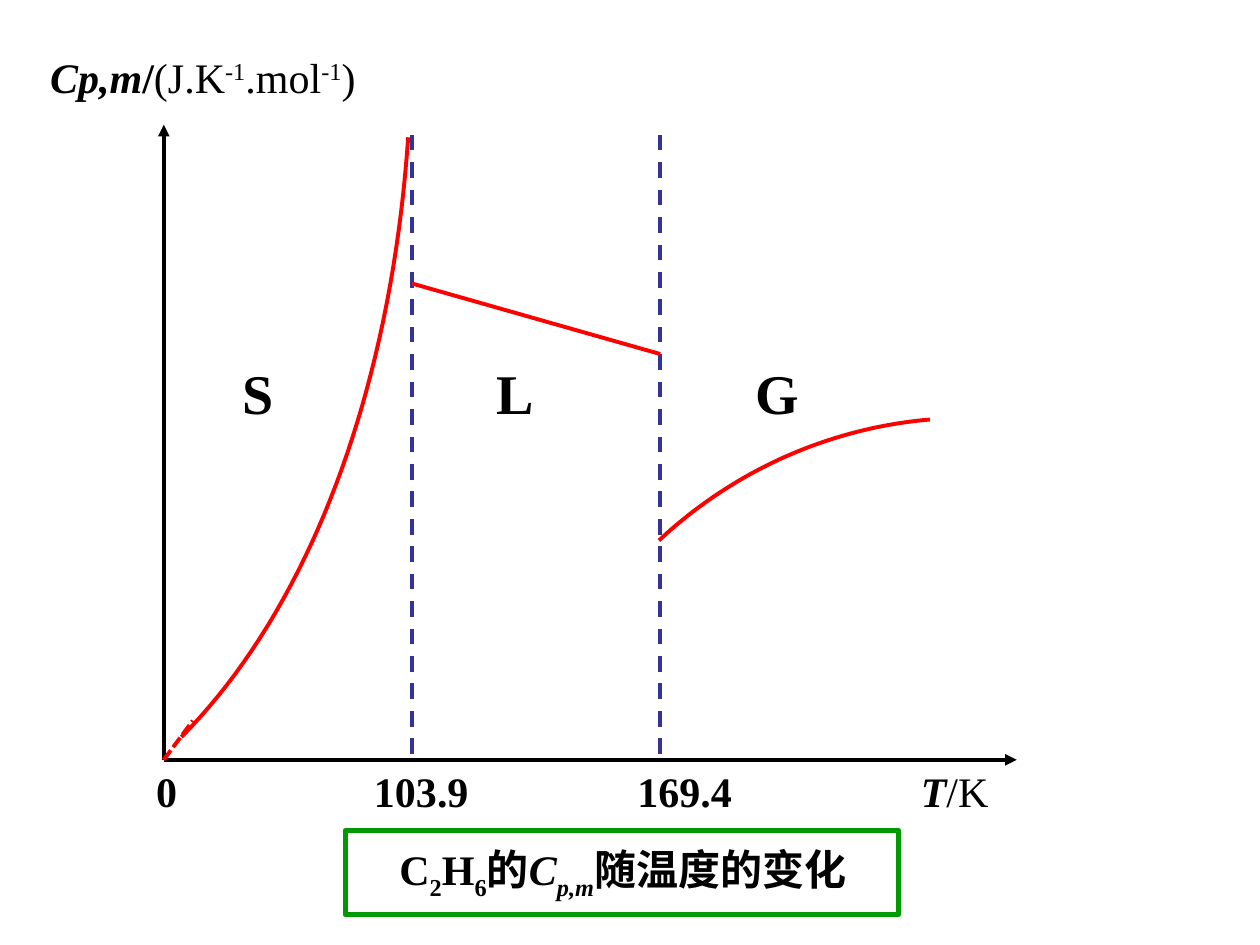
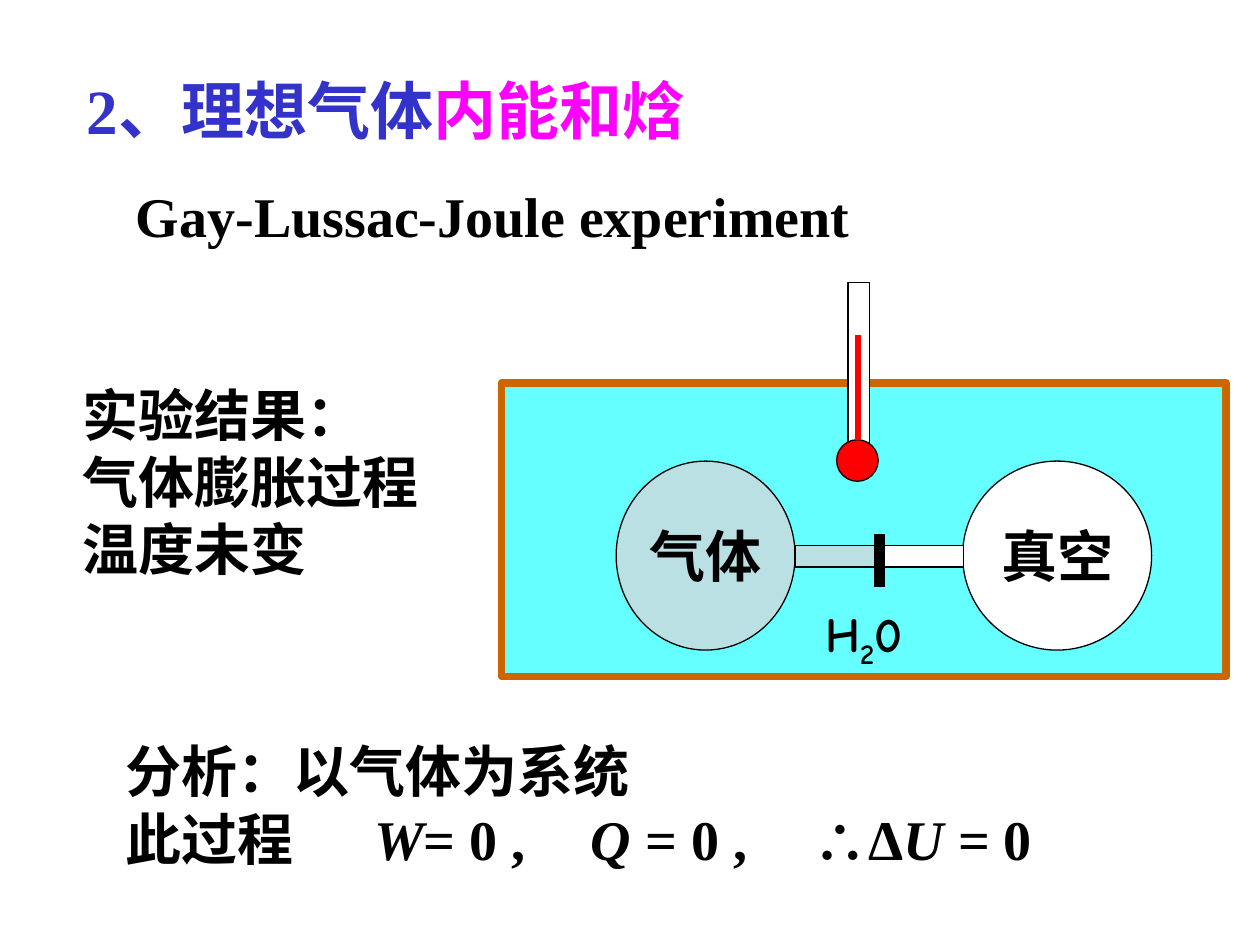
import pptx
import pptx.util
import pptx.dml.color
import pptx.enum.dml
import pptx.enum.shapes
import pptx.enum.text
import lxml.etree
from pptx.oxml.ns import qn
from pptx.util import Inches

COLORS = {
    "ink": "000000", "curve": "FF0000", "boundary": "333399", "frame": "009900",
    "heading": "3333CC", "accent": "FF00FF", "water": "66FFFF", "tank": "CC6600",
    "gas": "BBE0E3", "vacuum": "FFFFFF",
}
RGB = {name: pptx.dml.color.RGBColor.from_string(code) for name, code in COLORS.items()}
FONT = "Times New Roman"
BASELINES = {"sub": "-25000", "sup": "30000"}
ANCHOR = pptx.enum.text.MSO_ANCHOR
ALIGN = pptx.enum.text.PP_ALIGN
SHAPE = pptx.enum.shapes.MSO_SHAPE
DASH = pptx.enum.dml.MSO_LINE


def write(shape, lines, size, font=FONT, bold=True, align=ALIGN.LEFT,
          anchor=ANCHOR.TOP, tabs=()):
    """Fill a shape with lines, each a list of (text, style words) runs."""
    frame = shape.text_frame
    frame.word_wrap = True
    frame.auto_size = pptx.enum.text.MSO_AUTO_SIZE.NONE
    frame.vertical_anchor = anchor
    for index, runs in enumerate(lines):
        paragraph = frame.add_paragraph() if index else frame.paragraphs[0]
        paragraph.alignment = align
        if tabs:
            stops = lxml.etree.SubElement(paragraph._p.get_or_add_pPr(), qn("a:tabLst"))
            for position in tabs:
                lxml.etree.SubElement(stops, qn("a:tab"), pos=str(Inches(position)), algn="l")
        paragraph.font.name = font
        paragraph.font.size = pptx.util.Pt(size)
        paragraph.font.bold = bold
        paragraph.font.color.rgb = RGB["ink"]
        for text, style in runs:
            run = paragraph.add_run()
            run.text = text
            for word in style.split():
                if word == "italic":
                    run.font.italic = True
                elif word == "plain":
                    run.font.bold = False
                elif word in BASELINES:
                    run._r.get_or_add_rPr().set("baseline", BASELINES[word])
                else:
                    run.font.color.rgb = RGB[word]


def draw_line(slide, start, end, color, width=2.25, dash=None, arrow=False):
    line = slide.shapes.add_connector(
        pptx.enum.shapes.MSO_CONNECTOR.STRAIGHT,
        *[Inches(value) for value in (*start, *end)])
    line.line.color.rgb = RGB[color]
    line.line.width = pptx.util.Pt(width)
    if dash:
        line.line.dash_style = dash
    if arrow:
        lxml.etree.SubElement(line.line._get_or_add_ln(), qn("a:tailEnd"), type="triangle")
    lxml.etree.SubElement(line._element.spPr, qn("a:effectLst"))


deck = pptx.Presentation()
deck.slide_width, deck.slide_height = Inches(10), Inches(7.5)
TITLE_ONLY, BLANK = deck.slide_layouts[5], deck.slide_layouts[6]

# Slide 1: heat capacity of ethane against temperature
heat = deck.slides.add_slide(BLANK)
origin = (1.3, 6.03)
melting, boiling = 3.27, 5.24
draw_line(heat, origin, (8.07, 6.03), "ink", arrow=True)
draw_line(heat, origin, (1.3, 0.99), "ink", arrow=True)
for boundary in (melting, boiling):
    draw_line(heat, (boundary, 1.07), (boundary, 6.03), "boundary", dash=DASH.DASH)
draw_line(heat, (melting, 2.25), (boiling, 2.81), "curve")
draw_line(heat, origin, (1.53, 5.72), "curve", dash=DASH.SQUARE_DOT)

solid_curve = ((3.24, 1.09), (3.1, 3.12), (2.45, 4.83), (1.44, 5.85))
gas_curve = ((5.23, 4.29), (5.82, 3.74), (6.57, 3.4), (7.38, 3.33))
STEPS = 40
for controls in (solid_curve, gas_curve):
    points = []
    for step in range(STEPS + 1):
        t = step / STEPS
        weights = ((1 - t) ** 3, 3 * t * (1 - t) ** 2, 3 * t ** 2 * (1 - t), t ** 3)
        points.append([Inches(sum(w * c[axis] for w, c in zip(weights, controls)))
                       for axis in (0, 1)])
    builder = heat.shapes.build_freeform(*points[0])
    builder.add_line_segments(points[1:], close=False)
    curve = builder.convert_to_shape()
    curve.shadow.inherit = False
    curve.fill.background()
    curve.line.color.rgb = RGB["curve"]
    curve.line.width = pptx.util.Pt(2.25)

quantity = [("Cp,m", "italic"), ("/", ""), ("(J.K", "plain"), ("-1", "plain sup"),
            (".mol", "plain"), ("-1", "plain sup"), (")", "plain")]
for left, top, width, size, runs in (
    (0.3, 0.36, 3, 24, quantity),
    (1.14, 6.03, 0.5, 24, [("0", "")]),
    (2.87, 6.03, 1.2, 24, [("103.9", "")]),
    (4.96, 6.03, 1.2, 24, [("169.4", "")]),
    (7.21, 6.03, 1, 24, [("T", "italic"), ("/K", "plain")]),
    (1.83, 2.8, 0.8, 32, [("S", "")]),
    (3.84, 2.8, 0.8, 32, [("L", "")]),
    (5.9, 2.8, 0.8, 32, [("G", "")]),
):
    label = heat.shapes.add_textbox(Inches(left), Inches(top), Inches(width), Inches(size / 50))
    write(label, [runs], size)

caption = heat.shapes.add_shape(SHAPE.RECTANGLE, Inches(2.74), Inches(6.59),
                                Inches(4.39), Inches(0.67))
caption.shadow.inherit = False
caption.fill.background()
caption.line.color.rgb = RGB["frame"]
caption.line.width = pptx.util.Pt(3)
write(caption, [[("C", ""), ("2", "sub"), ("H", ""), ("6", "sub"), ("的", ""),
                 ("C", "italic"), ("p,m", "italic sub"), ("随温度的变化", "")]],
      24, anchor=ANCHOR.MIDDLE)
caption.text_frame.margin_left = Inches(0.43)
caption.text_frame.margin_right = 0

# Slide 2: Gay-Lussac-Joule experiment
joule = deck.slides.add_slide(TITLE_ONLY)
title = joule.shapes.title
title.left, title.top = Inches(0.59), Inches(0.52)
title.width, title.height = Inches(7.01), Inches(0.7)
write(title, [[("2、理想气体", "heading"), ("内能和焓", "accent")]], 36)
title.text_frame.paragraphs[0].runs[1].font.name = "Arial"

apparatus = {}
for part, kind, left, top, width, height, fill, outline, weight in (
    ("tank", SHAPE.RECTANGLE, 3.98, 3.04, 5.75, 2.33, "water", "tank", 4.5),
    ("gas bulb", SHAPE.OVAL, 4.89, 3.66, 1.42, 1.5, "gas", "ink", 0.75),
    ("vacuum bulb", SHAPE.OVAL, 7.64, 3.66, 1.5, 1.5, "vacuum", "ink", 0.75),
    ("gas pipe", SHAPE.RECTANGLE, 6.31, 4.33, 0.67, 0.17, "gas", "ink", 0.75),
    ("vacuum pipe", SHAPE.RECTANGLE, 6.98, 4.33, 0.67, 0.17, "vacuum", "ink", 0.75),
    ("thermometer", SHAPE.RECTANGLE, 6.73, 2.24, 0.17, 1.33, "vacuum", "ink", 0.75),
    ("mercury bulb", SHAPE.OVAL, 6.64, 3.49, 0.33, 0.33, "curve", "ink", 0.75),
):
    body = joule.shapes.add_shape(kind, Inches(left), Inches(top), Inches(width), Inches(height))
    body.shadow.inherit = False
    body.fill.solid()
    body.fill.fore_color.rgb = RGB[fill]
    body.line.color.rgb = RGB[outline]
    body.line.width = pptx.util.Pt(weight)
    apparatus[part] = body
draw_line(joule, (6.98, 4.24), (6.98, 4.66), "ink", width=6)
draw_line(joule, (6.81, 2.66), (6.81, 3.49), "curve", width=3)

write(apparatus["tank"], [[("H", ""), ("2", "sub"), ("0", "")]], 28, font="Comic Neue",
      align=ALIGN.CENTER, anchor=ANCHOR.BOTTOM)
for part, content in (("gas bulb", "气体"), ("vacuum bulb", "真空")):
    write(apparatus[part], [[(content, "")]], 32, align=ALIGN.CENTER, anchor=ANCHOR.MIDDLE)
    apparatus[part].text_frame.margin_left = apparatus[part].text_frame.margin_right = 0

analysis = [
    [("分析：以气体为系统", "")],
    [("此过程\t", ""), ("W", "italic"), ("= 0 ,\t", ""), ("Q", "italic"),
     (" = 0 ,\t∴Δ", ""), ("U ", "italic"), ("= 0", "")],
]
result = [[(line, "")] for line in ("实验结果：", "气体膨胀过程", "温度未变")]
for left, top, width, height, lines, tabs in (
    (0.98, 1.39, 6.2, 0.64, [[("Gay-Lussac-Joule experiment", "")]], ()),
    (0.56, 2.97, 3.2, 1.7, result, ()),
    (0.9, 5.8, 7.75, 1.17, analysis, (1.97, 3.69, 5.45)),
):
    passage = joule.shapes.add_textbox(Inches(left), Inches(top), Inches(width), Inches(height))
    write(passage, lines, 32, tabs=tabs)

deck.save("out.pptx")
